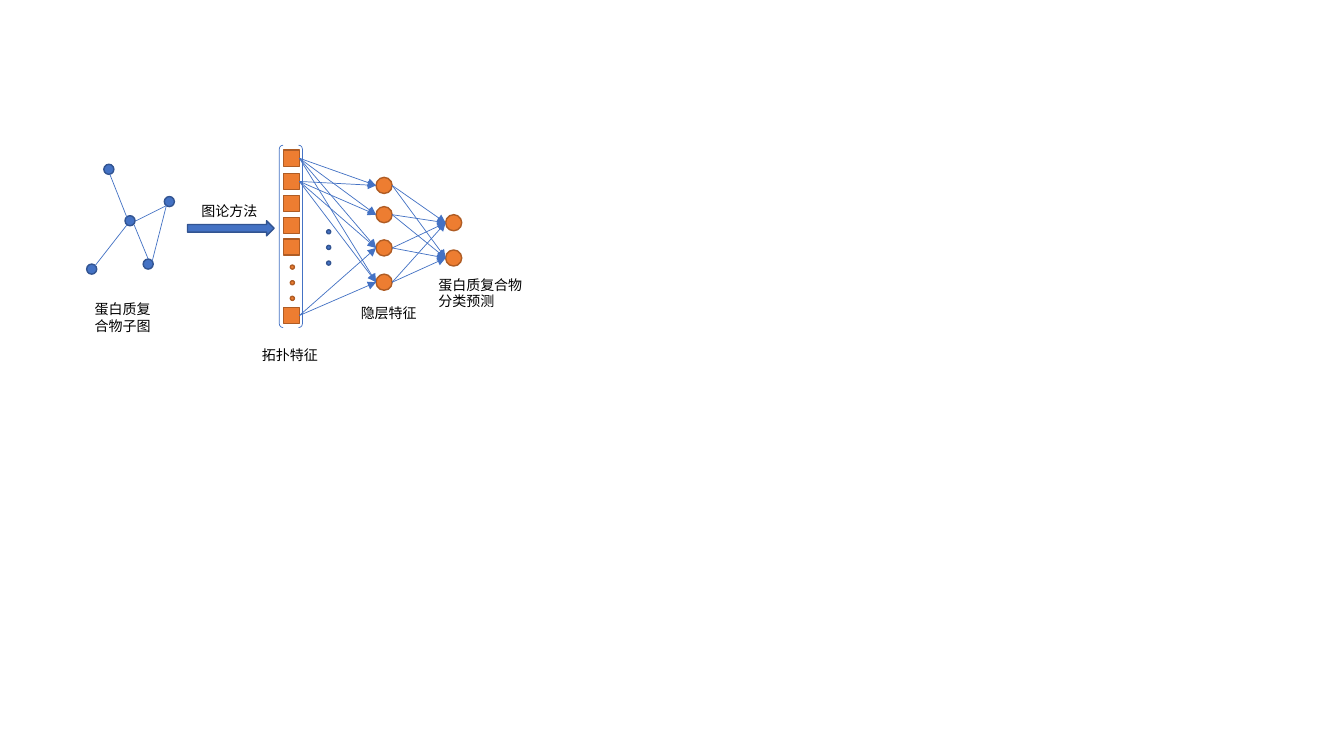
"""Draw a protein-complex classification pipeline: subgraph, topological features, network."""
from itertools import product
from lxml import etree
from pptx import Presentation
from pptx.dml.color import RGBColor
from pptx.enum.shapes import MSO_CONNECTOR, MSO_SHAPE as SHAPE
from pptx.enum.text import MSO_AUTO_SIZE as AUTO
from pptx.oxml.ns import qn
from pptx.util import Inches, Pt

COLORS = {"blue": "4472C4", "blue_edge": "325491",
          "orange": "ED7D31", "orange_edge": "AF5C24", "text": "000000"}
FONT = "Noto Sans CJK SC"
NODE = 0.16
MID = NODE / 2

prs = Presentation()
prs.slide_width, prs.slide_height = Inches(13.33), Inches(7.5)
s = prs.slides.add_slide(prs.slide_layouts[6])


def add_shape(kind, x, y, w, h, color):
    sp = s.shapes.add_shape(kind, Inches(x), Inches(y), Inches(w), Inches(h))
    sp.shadow.inherit = False
    sp.fill.solid()
    sp.fill.fore_color.rgb = RGBColor.from_string(COLORS[color])
    sp.line.color.rgb = RGBColor.from_string(COLORS[color + "_edge"])
    sp.line.width = Pt(1)
    return sp


def add_line(x1, y1, x2, y2, arrow=True, source=None):
    cx = s.shapes.add_connector(MSO_CONNECTOR.STRAIGHT, Inches(x1), Inches(y1),
                                Inches(x2), Inches(y2))
    cx.line.color.rgb = RGBColor.from_string(COLORS["blue"])
    cx.line.width = Pt(0.5)
    if arrow:
        etree.SubElement(cx.line._get_or_add_ln(), qn("a:tailEnd"), type="triangle")
    etree.SubElement(cx._element.spPr, qn("a:effectLst"))
    if source is not None:
        cx.begin_connect(source, 3)


for x, y in [(1.03, 1.63), (1.42, 2.57), (1.63, 1.95), (1.24, 2.14), (0.86, 2.62)]:
    add_shape(SHAPE.OVAL, x, y, 0.1, 0.1, "blue")
for edge in [(1.09, 1.73, 1.26, 2.16), (1.33, 2.23, 1.47, 2.57),
             (1.65, 2.04, 1.51, 2.59), (1.26, 2.23, 0.94, 2.64),
             (1.65, 2.04, 1.35, 2.19)]:
    add_line(*edge, arrow=False)

add_shape(SHAPE.RIGHT_ARROW, 1.86, 2.19, 0.86, 0.15, "blue")

bracket = add_shape(SHAPE.DOUBLE_BRACKET, 2.77, 1.44, 0.23, 1.81, "blue")
bracket.fill.background()
bracket.line.color.rgb = RGBColor.from_string(COLORS["blue"])
bracket.line.width = Pt(0.5)

feature_x, hidden_x, output_x = 2.81, 3.73, 4.42
feature_tops = [1.49, 1.72, 1.94, 2.16, 2.37, 3.05]
hidden_tops = [1.76, 2.05, 2.38, 2.72]
output_tops = [2.13, 2.48]

features = [add_shape(SHAPE.RECTANGLE, feature_x, y, NODE, NODE, "orange")
            for y in feature_tops]
for x, tops in [(hidden_x, hidden_tops), (output_x, output_tops)]:
    for y in tops:
        add_shape(SHAPE.OVAL, x, y, NODE, NODE, "orange")
for x, top, color in [(2.88, 2.63, "orange"), (3.24, 2.28, "blue")]:
    for i in range(3):
        add_shape(SHAPE.OVAL, x, top + 0.155 * i, 0.04, 0.04, color)

for i, targets in [(0, hidden_tops), (1, hidden_tops), (5, hidden_tops[2:])]:
    for y in targets:
        add_line(feature_x + NODE, feature_tops[i] + MID, hidden_x, y + MID,
                 source=features[i])
for y2, y1 in product(output_tops, hidden_tops):
    add_line(hidden_x + NODE, y1 + MID, output_x, y2 + MID)

labels = [("图论方法", 1.9, 1.96, 0.78, 0.27),
          ("拓扑特征", 2.5, 3.39, 0.78, 0.27),
          ("隐层特征", 3.48, 2.97, 0.78, 0.27),
          ("蛋白质复合物子图", 0.84, 2.93, 0.78, 0.44),
          ("蛋白质复合物分类预测", 4.25, 2.69, 1.07, 0.44)]
frame_format = {"word_wrap": True, "auto_size": AUTO.SHAPE_TO_FIT_TEXT}
font_format = {"size": Pt(10), "name": FONT}
for text, *box in labels:
    tf = s.shapes.add_textbox(*map(Inches, box)).text_frame
    for name, value in frame_format.items():
        setattr(tf, name, value)
    r = tf.paragraphs[0].add_run()
    r.text = text
    for name, value in font_format.items():
        setattr(r.font, name, value)
    r.font.color.rgb = RGBColor.from_string(COLORS["text"])
    etree.SubElement(r._r.get_or_add_rPr(), qn("a:ea"), typeface=FONT)

prs.save("out.pptx")
